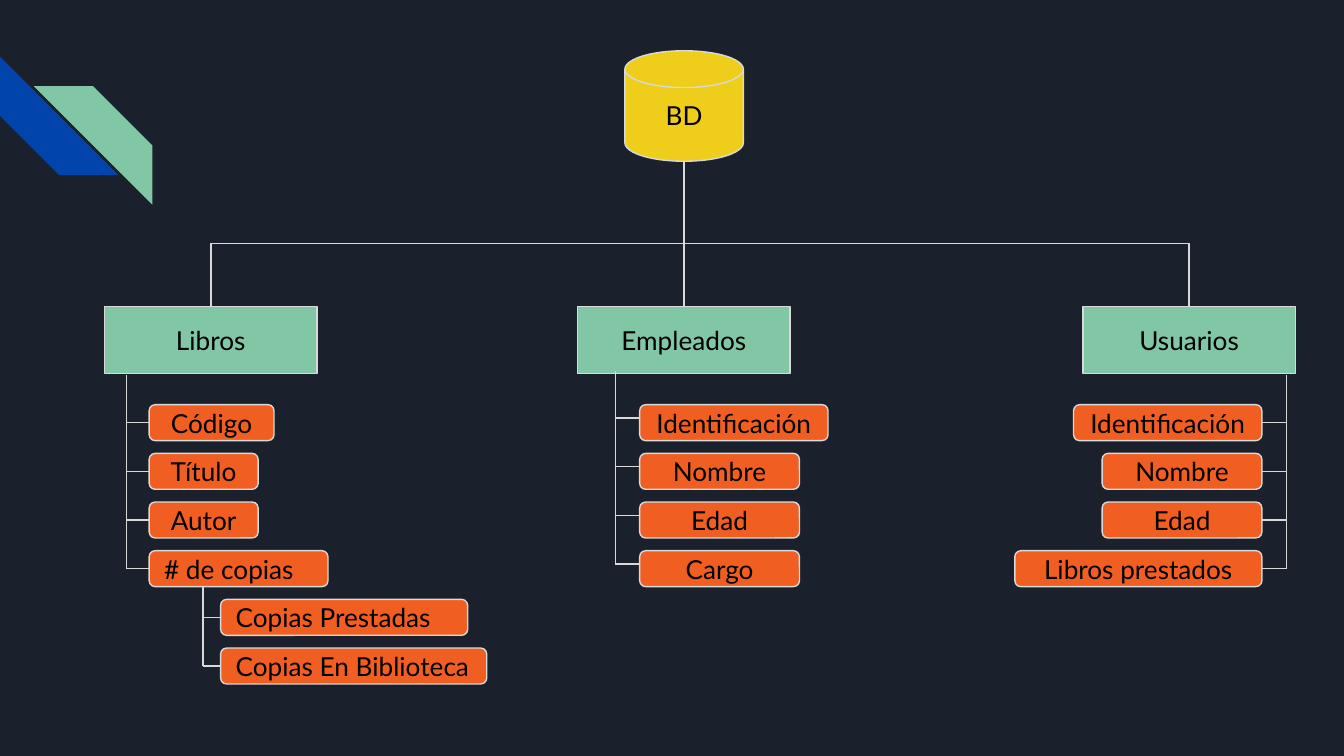
from dataclasses import dataclass

from lxml import etree
from pptx import Presentation
from pptx.dml.color import RGBColor
from pptx.enum.shapes import MSO_CONNECTOR, MSO_SHAPE
from pptx.enum.text import MSO_ANCHOR, PP_ALIGN
from pptx.oxml.ns import qn
from pptx.util import Cm, Pt

STRIPE = MSO_SHAPE.DIAGONAL_STRIPE
DISK = MSO_SHAPE.FLOWCHART_MAGNETIC_DISK
PROCESS = MSO_SHAPE.FLOWCHART_PROCESS
ROUNDED = MSO_SHAPE.ROUNDED_RECTANGLE
STRAIGHT = MSO_CONNECTOR.STRAIGHT
MIDDLE = MSO_ANCHOR.MIDDLE
CENTER = PP_ALIGN.CENTER
LEFT = PP_ALIGN.LEFT

NAVY = RGBColor(0x1B, 0x21, 0x2C)
BLUE = RGBColor(0x01, 0x45, 0xAC)
GREEN = RGBColor(0x82, 0xC7, 0xA5)
YELLOW = RGBColor(0xEE, 0xCE, 0x1A)
ORANGE = RGBColor(0xF1, 0x5E, 0x22)
GRAY = RGBColor(0xD9, 0xD9, 0xD9)
BLACK = RGBColor(0, 0, 0)

FONT = "Lato"
OUTLINE = Pt(0.75)
INSET = Cm(0.25)
ROW_TOP = 7.65
ROW_PITCH = 0.92
ROW_HEIGHT = 0.68
ENTITY_TOP = 5.79
ENTITY_WIDTH = 4.01
ENTITY_HEIGHT = 1.27
BUS_TOP = 4.6
DISK_BOTTOM = 3.05


@dataclass(frozen=True)
class Field:
    label: str
    width: float
    align: PP_ALIGN = CENTER


@dataclass(frozen=True)
class Branch:
    trunk: float
    trunk_top: float
    edge: float
    fields: tuple[Field, ...]
    first_row: int = 0
    tick_drop: float = ROW_HEIGHT / 2


@dataclass(frozen=True)
class Entity:
    name: str
    left: float
    branch: Branch

    @property
    def center(self) -> float:
        return self.left + ENTITY_WIDTH / 2


ENTITIES = (
    Entity("Libros", 1.98, Branch(2.39, 7.09, 2.82, (
        Field("Código", 2.36),
        Field("Título", 2.06),
        Field("Autor", 2.06),
        Field("# de copias", 3.38, LEFT),
    ))),
    Entity("Empleados", 10.92, Branch(11.63, 7.01, 12.09, (
        Field("Identificación", 3.56),
        Field("Nombre", 3.02),
        Field("Edad", 3.02),
        Field("Cargo", 3.02),
    ), tick_drop=0.25)),
    Entity("Usuarios", 20.47, Branch(24.31, 7.09, 23.85, (
        Field("Identificación", 3.56),
        Field("Nombre", 3.02),
        Field("Edad", 3.02),
        Field("Libros prestados", 4.67),
    ))),
)
COPIES = Branch(3.84, 11.09, 4.17, (
    Field("Copias Prestadas", 4.67, LEFT),
    Field("Copias En Biblioteca", 5.03, LEFT),
), first_row=4)


def draw_line(page, x1: float, y1: float, x2: float, y2: float) -> None:
    line = page.shapes.add_connector(STRAIGHT, Cm(x1), Cm(y1), Cm(x2), Cm(y2))
    line.line.color.rgb = GRAY
    line.line.width = OUTLINE
    etree.SubElement(line._element.spPr, qn("a:effectLst"))


def draw_stripe(page, left: float, top: float, color: RGBColor):
    stripe = page.shapes.add_shape(STRIPE, Cm(left), Cm(top), Cm(2.24), Cm(2.24))
    stripe.shadow.inherit = False
    stripe.fill.solid()
    stripe.fill.fore_color.rgb = color
    stripe.line.fill.background()
    return stripe


def draw_node(page, kind: MSO_SHAPE, left: float, top: float, width: float,
              height: float, color: RGBColor, label: str,
              align: PP_ALIGN = CENTER) -> None:
    node = page.shapes.add_shape(kind, Cm(left), Cm(top), Cm(width), Cm(height))
    node.shadow.inherit = False
    node.fill.solid()
    node.fill.fore_color.rgb = color
    node.line.color.rgb = GRAY
    node.line.width = OUTLINE
    frame = node.text_frame
    frame.margin_left = frame.margin_right = INSET
    frame.margin_top = frame.margin_bottom = INSET
    frame.vertical_anchor = MIDDLE
    frame.word_wrap = True
    frame.text = label
    paragraph = frame.paragraphs[0]
    paragraph.alignment = align
    font = paragraph.runs[0].font
    font.name = FONT
    font.size = Pt(14)
    font.color.rgb = BLACK


def draw_branch(page, branch: Branch) -> None:
    tick = branch.trunk_top
    for row, field in enumerate(branch.fields, branch.first_row):
        top = ROW_TOP + row * ROW_PITCH
        tick = top + branch.tick_drop
        opens_right = branch.edge > branch.trunk
        left = branch.edge if opens_right else branch.edge - field.width
        draw_node(page, ROUNDED, left, top, field.width, ROW_HEIGHT, ORANGE,
                  field.label, field.align)
        draw_line(page, branch.trunk, tick, branch.edge, tick)
    draw_line(page, branch.trunk, branch.trunk_top, branch.trunk, tick)


def draw_entity(page, entity: Entity) -> None:
    draw_line(page, entity.center, BUS_TOP, entity.center, ENTITY_TOP)
    draw_node(page, PROCESS, entity.left, ENTITY_TOP, ENTITY_WIDTH,
              ENTITY_HEIGHT, GREEN, entity.name)
    draw_branch(page, entity.branch)


def main() -> None:
    deck = Presentation()
    deck.slide_width = Cm(25.4)
    deck.slide_height = Cm(14.29)
    page = deck.slides.add_slide(deck.slide_layouts[6])
    page.background.fill.solid()
    page.background.fill.fore_color.rgb = NAVY

    draw_stripe(page, 0, 1.07, BLUE).rotation = 270
    green_stripe = draw_stripe(page, 0.64, 1.63, GREEN)
    green_stripe._element.spPr.find(qn("a:xfrm")).set("flipH", "1")

    first, middle, last = ENTITIES
    draw_node(page, DISK, 11.81, 0.96, 2.24, 2.09, YELLOW, "BD")
    draw_line(page, middle.center, DISK_BOTTOM, middle.center, BUS_TOP)
    draw_line(page, first.center, BUS_TOP, last.center, BUS_TOP)
    for entity in ENTITIES:
        draw_entity(page, entity)
    draw_branch(page, COPIES)

    deck.save("out.pptx")


if __name__ == "__main__":
    main()
